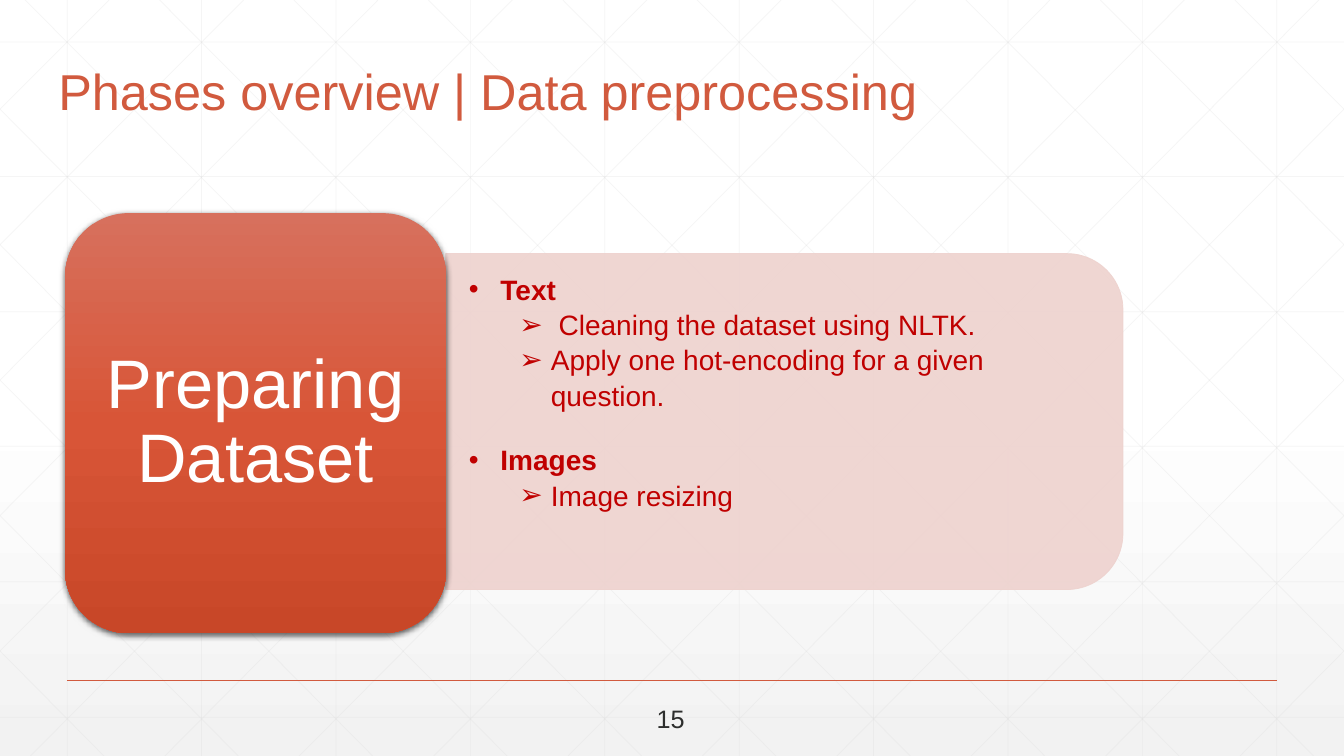
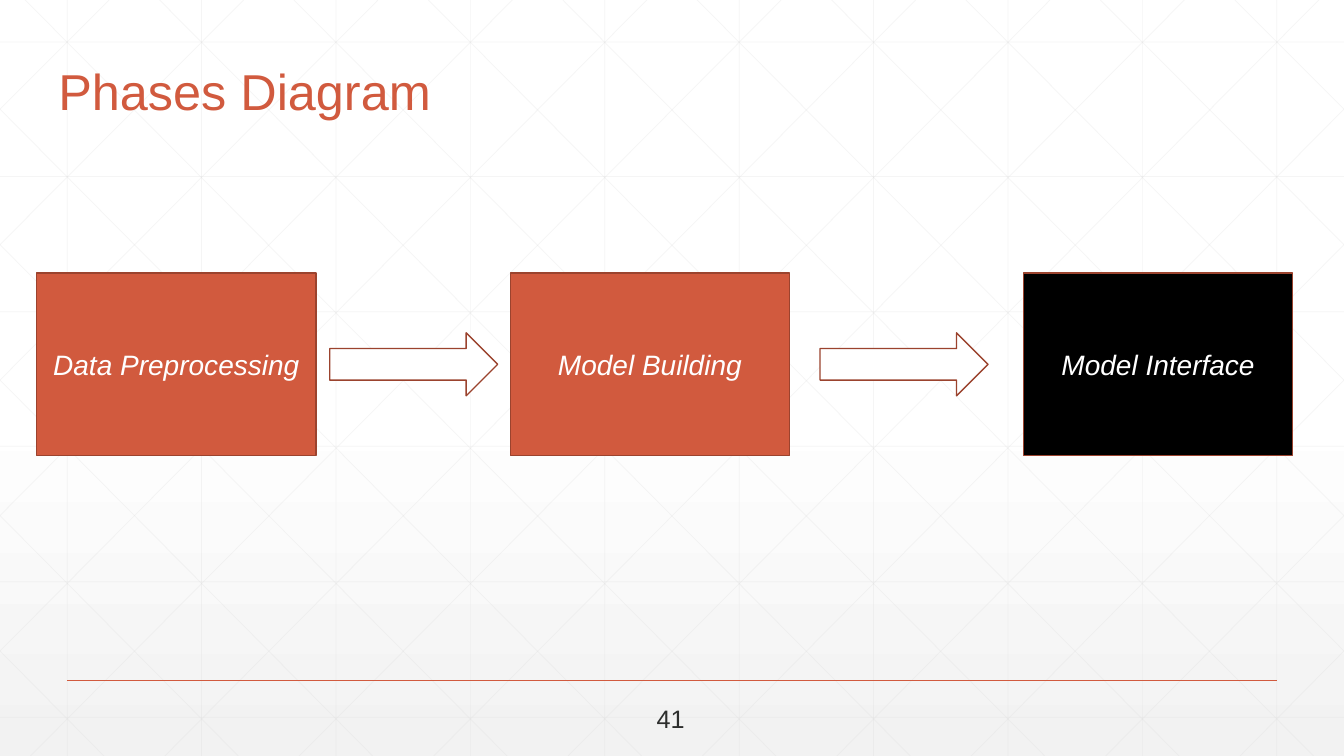
"""Build two slides about the phases of a project: data preprocessing and the phases diagram."""
from copy import deepcopy

from lxml.etree import SubElement
from pptx import Presentation
from pptx.dml.color import RGBColor
from pptx.enum.shapes import MSO_CONNECTOR, MSO_SHAPE
from pptx.enum.text import MSO_ANCHOR, MSO_AUTO_SIZE, PP_ALIGN
from pptx.oxml.ns import qn
from pptx.util import Emu, Pt


class Theme:
    font = "Arial"
    accent = RGBColor(0xD1, 0x5A, 0x3E)
    outline = RGBColor(0x9B, 0x43, 0x2E)
    panel = RGBColor(0xEE, 0xD2, 0xCE)
    list_text = RGBColor(0xC0, 0x00, 0x00)
    lattice = RGBColor(0xD9, 0xD9, 0xD9)
    ink = RGBColor(0x2D, 0x2E, 0x2D)
    white = RGBColor(0xFF, 0xFF, 0xFF)
    black = RGBColor(0x00, 0x00, 0x00)
    backdrop = [(0.53, white), (1, RGBColor(0xF2, 0xF2, 0xF2))]
    card = [(0, RGBColor(0xD7, 0x70, 0x5D)), (0.5, RGBColor(0xD8, 0x55, 0x37)),
            (1, RGBColor(0xC8, 0x47, 0x28))]
    title_size, card_size, text_size, number_size = Pt(36), Pt(49), Pt(20), Pt(18)


EMU_PER_PX = 9525
WIDTH, HEIGHT = 1280, 720


def px(*lengths):
    return [Emu(length * EMU_PER_PX) for length in lengths]


def style(paragraph, size, color, bold=False, italic=False):
    font = paragraph.font
    font.name, font.size, font.bold, font.italic = Theme.font, size, bold, italic
    font.color.rgb = color


presentation = Presentation()
presentation.slide_width, presentation.slide_height = px(WIDTH, HEIGHT)
master = presentation.slide_master
dataset_slide = presentation.slides.add_slide(presentation.slide_layouts[1])
diagram_slide = presentation.slides.add_slide(presentation.slide_layouts[5])

lattice = [(64 + 128 * i, 0, 64 + 128 * i, HEIGHT) for i in range(10)]
for i in range(6):
    y = 40 + i * 643 // 5
    lattice.append((0, y, WIDTH, y))
RUN = 715
for i in range(-5, 10):
    origin = 24 + 128 * i
    left, right = max(origin, 0), min(origin + RUN, WIDTH)
    top, bottom = [(x - origin) * HEIGHT // RUN for x in (left, right)]
    lattice.append((left, top, right, bottom))
    lattice.append((WIDTH - left, top, WIDTH - right, bottom))

master_lines = [(ends, Theme.lattice, 0.5, 25) for ends in lattice]
master_lines.append(((64, 648, 1216, 648), Theme.accent, 1, 100))
for number, (ends, color, weight, opacity) in enumerate(master_lines, start=100):
    connector = dataset_slide.shapes.add_connector(MSO_CONNECTOR.STRAIGHT, *px(*ends))
    connector.line.color.rgb = color
    connector.line.width = Pt(weight)
    for tint in connector.element.spPr.iter(qn("a:srgbClr")):
        SubElement(tint, qn("a:alpha")).set("val", str(opacity * 1000))
    SubElement(connector.element.spPr, qn("a:effectLst"))
    connector.element.nvCxnSpPr.cNvPr.set("id", str(number))
    master.shapes.element.append(connector.element)

backdrop = master.background.fill
backdrop.gradient()
backdrop.gradient_angle = 270
for stop, (position, color) in zip(backdrop.gradient_stops, Theme.backdrop):
    stop.position, stop.color.rgb = position, color

master_title = master.placeholders[0]
master_title.left, master_title.top, master_title.width, master_title.height = px(46, 51, 1008, 120)
master_title.text_frame.vertical_anchor = MSO_ANCHOR.BOTTOM
master_title.text_frame.margin_bottom = px(55)[0]
master_title.text_frame.auto_size = MSO_AUTO_SIZE.NONE

for slide, title, number in [
    (dataset_slide, "Phases overview | Data preprocessing", "15"),
    (diagram_slide, "Phases Diagram", "41"),
]:
    slide.shapes.title.text_frame.text = title
    paragraph = slide.shapes.title.text_frame.paragraphs[0]
    paragraph.alignment = PP_ALIGN.LEFT
    paragraph.line_spacing = 0.9
    style(paragraph, Theme.title_size, Theme.accent)
    page_number = slide.shapes.add_textbox(*px(616, 665, 46, 38))
    page_number.text_frame.text = number
    style(page_number.text_frame.paragraphs[0], Theme.number_size, Theme.ink)

panel = dataset_slide.shapes.add_shape(MSO_SHAPE.ROUND_2_SAME_RECTANGLE, *px(587, 79, 320, 645))
panel.rotation = 90
panel.shadow.inherit = False
panel.fill.solid()
panel.fill.fore_color.rgb = panel.line.color.rgb = Theme.panel
panel.line.width = Pt(0.5)
for tint in panel.element.spPr.iter(qn("a:srgbClr")):
    SubElement(tint, qn("a:alpha")).set("val", "90000")

card = dataset_slide.shapes.add_shape(MSO_SHAPE.ROUNDED_RECTANGLE, *px(62, 203, 363, 400))
card.line.fill.background()
card.fill.gradient()
card.fill.gradient_angle = 270
stop_list = next(card.element.spPr.iter(qn("a:gsLst")))
stop_list.append(deepcopy(stop_list[0]))
for stop, (position, color) in zip(card.fill.gradient_stops, Theme.card):
    stop.position, stop.color.rgb = position, color
card.shadow.inherit = False
shadow = SubElement(card.element.spPr.find(qn("a:effectLst")), qn("a:outerShdw"),
                    blurRad=str(Pt(4.5)), dist=str(Pt(1.5)), dir="5400000")
shadow_color = SubElement(shadow, qn("a:srgbClr"), val=str(Theme.black))
SubElement(shadow_color, qn("a:alpha"), val="63000")
card_text = card.text_frame
card_text.text = "Preparing Dataset"
card_text.margin_left, card_text.margin_right = px(19, 19)
card_text.paragraphs[0].alignment = PP_ALIGN.CENTER
card_text.paragraphs[0].line_spacing = 0.9
style(card_text.paragraphs[0], Theme.card_size, Theme.white)

steps = dataset_slide.placeholders[1]
steps.left, steps.top, steps.width, steps.height = px(437, 253, 610, 232)
dataset_slide.shapes.element.append(steps.element)
steps.text_frame.auto_size = MSO_AUTO_SIZE.NONE
entries = [
    (0, "Text", 0),
    (1, " Cleaning the dataset using NLTK.", 0),
    (1, "Apply one hot-encoding for a given question.", 0),
    (0, "Images", 21),
    (1, "Image resizing", 0),
]
steps.text_frame.text = "\n".join(text for _, text, _ in entries)
for paragraph, (level, _, gap) in zip(steps.text_frame.paragraphs, entries):
    paragraph.level = level
    paragraph.line_spacing = 1.05
    paragraph.space_before = Pt(gap)
    properties = paragraph._p.get_or_add_pPr()
    margin, hanging = px(30 + 48 * level, -30)
    properties.set("marL", str(margin))
    properties.set("indent", str(hanging))
    SubElement(properties, qn("a:buChar"), char="•➢"[level])
    style(paragraph, Theme.text_size, Theme.list_text, bold=level == 0)

BOX, ARROW = MSO_SHAPE.RECTANGLE, MSO_SHAPE.RIGHT_ARROW
for preset, left, top, width, height, color, text in [
    (BOX, 35, 260, 266, 174, Theme.accent, "Data Preprocessing"),
    (ARROW, 314, 317, 160, 60, Theme.white, ""),
    (BOX, 486, 260, 266, 174, Theme.accent, "Model Building"),
    (ARROW, 781, 317, 160, 60, Theme.white, ""),
    (BOX, 975, 260, 256, 174, Theme.black, "Model Interface"),
]:
    shape = diagram_slide.shapes.add_shape(preset, *px(left, top, width, height))
    shape.shadow.inherit = False
    shape.fill.solid()
    shape.fill.fore_color.rgb = color
    shape.line.color.rgb = Theme.outline
    shape.line.width = Pt(1)
    if text:
        shape.text_frame.text = text
        paragraph = shape.text_frame.paragraphs[0]
        paragraph.alignment = PP_ALIGN.CENTER
        style(paragraph, Theme.text_size, Theme.white, italic=True)

presentation.save("out.pptx")
